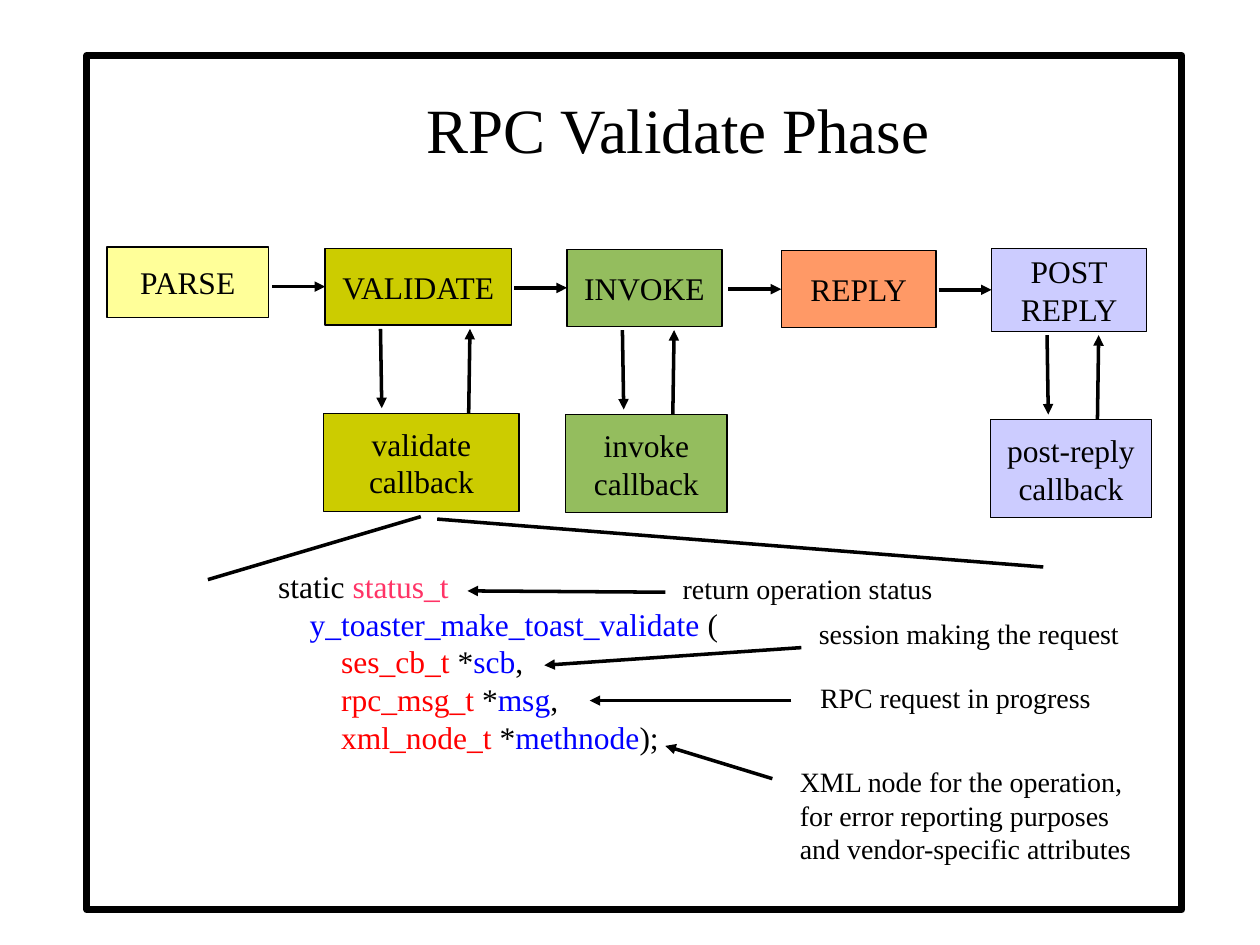
"""Build the RPC validate phase slide: pipeline, callbacks and annotated signature."""
from typing import NamedTuple, Optional

from pptx import Presentation
from pptx.dml.color import RGBColor
from pptx.enum.shapes import MSO_CONNECTOR as Connector, MSO_SHAPE as Preset
from pptx.enum.text import MSO_ANCHOR as Anchor, PP_ALIGN as Align
from pptx.oxml.ns import qn
from pptx.util import Inches, Pt
from lxml.etree import SubElement

COLUMNS, ROWS = 100, 75
SLIDE_WIDTH, SLIDE_HEIGHT = Inches(10), Inches(7.5)
FONT = "Times New Roman"
COLORS = {
    "black": "000000", "white": "FFFFFF", "yellow": "FFFF99", "olive": "CCCC00",
    "green": "94BD5E", "orange": "FF9966", "lilac": "CCCCFF",
    "pink": "FF3366", "blue": "0000FF", "red": "FF0000",
}


class Area(NamedTuple):
    column: float
    row: float
    width: float
    height: float

    @property
    def bottom(self) -> float:
        return self.row + self.height


class Point(NamedTuple):
    column: float
    row: float


class Phase(NamedTuple):
    label: str
    color: str
    area: Area
    callback: Optional[str] = None
    callback_area: Optional[Area] = None
    return_offset: float = 8.5


class Note(NamedTuple):
    text: str
    area: Area
    start: Point
    end: Point


PHASES = [
    Phase("PARSE", "yellow", Area(8.5, 19.6, 12.8, 5.6)),
    Phase("VALIDATE", "olive", Area(25.8, 19.7, 14.8, 6.1),
          "validate\ncallback", Area(25.7, 32.8, 15.5, 7.8), 11.5),
    Phase("INVOKE", "green", Area(45, 19.8, 12.3, 6.1),
          "invoke\ncallback", Area(44.9, 32.9, 12.8, 7.8)),
    Phase("REPLY", "orange", Area(62, 19.9, 12.3, 6.1)),
    Phase("POST\nREPLY", "lilac", Area(78.7, 19.7, 12.3, 6.6),
          "post-reply\ncallback", Area(78.6, 33.3, 12.8, 7.8)),
]

NOTES = [
    Note("return operation status", Area(53.2, 44.9, 21.8, 4.9),
         Point(52.8, 47), Point(37.1, 46.9)),
    Note("session making the request", Area(64, 48.4, 25.9, 4.9),
         Point(63.6, 51.4), Point(43.2, 52.8)),
    Note("RPC request in progress", Area(64.1, 53.5, 23.5, 3.7),
         Point(62.8, 55.6), Point(46.8, 55.6)),
    Note("XML node for the operation,\nfor error reporting purposes\nand vendor-specific attributes",
         Area(62.5, 60.2, 28.4, 9), Point(61.3, 61.8), Point(52.8, 59.2)),
]

PARAMETERS = [("ses_cb_t", "scb", ","), ("rpc_msg_t", "msg", ","), ("xml_node_t", "methnode", ");")]
SIGNATURE = [
    [("static ", "black"), ("status_t", "pink")],
    [("    y_toaster_make_toast_validate", "blue"), (" (", "black")],
] + [
    [("        ", "black"), (kind, "red"), (" *", "black"), (name, "blue"), (ending, "black")]
    for kind, name, ending in PARAMETERS
]
CALLOUT_LINES = [(Point(16.5, 46), Point(33.4, 41)), (Point(34.7, 41.2), Point(82.8, 45))]


def across(columns: float) -> int:
    return round(SLIDE_WIDTH * columns / COLUMNS)


def down(rows: float) -> int:
    return round(SLIDE_HEIGHT * rows / ROWS)


def place(area: Area) -> tuple:
    return across(area.column), down(area.row), across(area.width), down(area.height)


def rgb(name: str) -> RGBColor:
    return RGBColor.from_string(COLORS[name])


def style_font(font, size: float, color: str = "black") -> None:
    font.name, font.size = FONT, Pt(size)
    font.color.rgb = rgb(color)


def style_text(text_frame, size: float) -> None:
    for paragraph in text_frame.paragraphs:
        for run in paragraph.runs:
            style_font(run.font, size)


def add_box(slide, area: Area, fill: str, line_width: float = 0):
    shape = slide.shapes.add_shape(Preset.RECTANGLE, *place(area))
    shape.shadow.inherit = False
    shape.fill.solid()
    shape.fill.fore_color.rgb = rgb(fill)
    shape.line.color.rgb = rgb("black")
    shape.line.width = Pt(line_width)
    return shape


def add_labelled_box(slide, label: str, area: Area, fill: str):
    shape = add_box(slide, area, fill)
    text_frame = shape.text_frame
    text_frame.vertical_anchor = Anchor.MIDDLE
    paragraph = text_frame.paragraphs[0]
    paragraph.text = label
    paragraph.alignment = Align.CENTER
    style_text(text_frame, 18)
    return shape


def add_text(slide, area: Area, text: str, size: float) -> None:
    text_frame = slide.shapes.add_textbox(*place(area)).text_frame
    text_frame.word_wrap = False
    text_frame.paragraphs[0].text = text
    style_text(text_frame, size)


def add_line(slide, start: Point, end: Point, arrow: bool = True):
    line = slide.shapes.add_connector(
        Connector.STRAIGHT, across(start.column), down(start.row), across(end.column), down(end.row))
    line.line.color.rgb = rgb("black")
    line.line.width = Pt(0)
    if arrow:
        SubElement(line.line._get_or_add_ln(), qn("a:tailEnd"), type="triangle")
    SubElement(line._element.spPr, qn("a:effectLst"))
    return line


def add_callback(slide, phase: Phase) -> None:
    area = phase.callback_area
    add_labelled_box(slide, phase.callback, area, phase.color)
    call, back = area.column + 4.5, area.column + phase.return_offset
    phase_edge = phase.area.bottom + 0.3
    add_line(slide, Point(call, phase_edge), Point(call + 0.1, area.row - 0.4))
    add_line(slide, Point(back, area.row), Point(back + 0.1, phase_edge))


def add_pipeline(slide) -> None:
    for index, phase in enumerate(PHASES):
        box = add_labelled_box(slide, phase.label, phase.area, phase.color)
        if phase.callback:
            add_callback(slide, phase)
        if index:
            middle = phase.area.row + phase.area.height / 2
            left = phase.area.column
            arrow = add_line(slide, Point(left - 4.2, middle), Point(left, middle))
            arrow.end_connect(box, 1)


def add_signature(slide, area: Area) -> None:
    text_frame = slide.shapes.add_textbox(*place(area)).text_frame
    text_frame.word_wrap = False
    for index, pieces in enumerate(SIGNATURE):
        paragraph = text_frame.add_paragraph() if index else text_frame.paragraphs[0]
        for text, color in pieces:
            run = paragraph.add_run()
            run.text = text
            style_font(run.font, 18, color)


def main() -> None:
    presentation = Presentation()
    presentation.slide_width, presentation.slide_height = SLIDE_WIDTH, SLIDE_HEIGHT
    slide = presentation.slides.add_slide(presentation.slide_layouts[6])
    add_box(slide, Area(6.9, 4.4, 86.9, 67.8), "white", 4)
    add_text(slide, Area(32.9, 6.7, 42.5, 7), "RPC Validate Phase", 36)
    add_pipeline(slide)
    add_signature(slide, Area(21.1, 44.5, 37, 16))
    for note in NOTES:
        add_text(slide, note.area, note.text, note.size if hasattr(note, "size") else 16)
        add_line(slide, note.start, note.end)
    for start, end in CALLOUT_LINES:
        add_line(slide, start, end, arrow=False)
    presentation.save("out.pptx")


if __name__ == "__main__":
    main()
